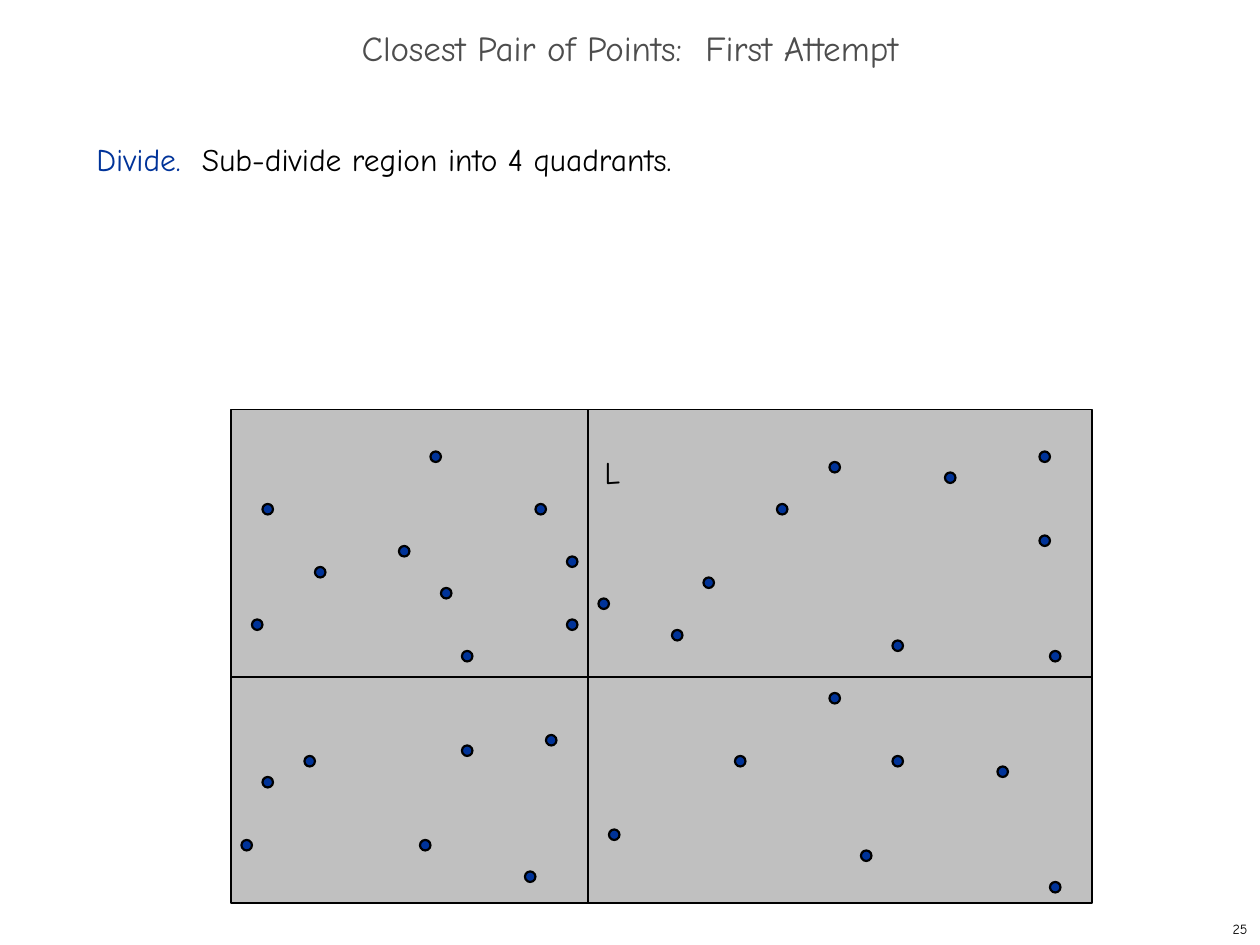
from lxml import etree
from pptx import Presentation, util as u
from pptx.dml.color import RGBColor
from pptx.enum import shapes, text
from pptx.oxml.ns import qn

COLORS = {"black": "000000", "title": "4D4D4D", "blue": "003399", "region": "C0C0C0"}
FONT = "Comic Neue"

# Places are counted in twelfths of an inch.
REGION_LEFT, REGION_TOP, REGION_WIDTH, REGION_HEIGHT = 22, 39, 82, 47
DIVIDER_X, DIVIDER_Y = 56, 64.5
POINTS = [
    (30, 54), (54, 53), (44, 71), (58, 79), (25, 48), (38, 52), (41, 43),
    (42, 56), (74, 48), (51, 48), (67, 55), (64, 60), (100, 84), (79, 44),
    (85, 61), (24, 59), (57, 57), (44, 62), (54, 59), (52, 70), (25, 74),
    (29, 72), (50, 83), (23, 80), (40, 80), (99, 51), (90, 45), (70, 72),
    (99, 43), (79, 66), (82, 81), (100, 62), (85, 72), (95, 73),
]


def grid(*counts):
    """Turn counts of twelfths of an inch into lengths."""
    return [u.Cm(count * 2.54 / 12) for count in counts]


def write_text(shape, *runs, size=18, align=text.PP_ALIGN.LEFT,
               anchor=text.MSO_ANCHOR.TOP, line_spacing=None):
    """Fill a shape with one paragraph of (words, color name) runs."""
    frame = shape.text_frame
    frame.word_wrap = True
    frame.auto_size = text.MSO_AUTO_SIZE.NONE
    frame.vertical_anchor = anchor
    paragraph = frame.paragraphs[0]
    paragraph.alignment = align
    paragraph.space_before = u.Pt(0)
    paragraph.line_spacing = line_spacing
    for words, color in runs:
        run = paragraph.add_run()
        run.text = words
        run.font.name = FONT
        run.font.size = u.Pt(size)
        run.font.color.rgb = RGBColor.from_string(COLORS[color])


presentation = Presentation()
presentation.slide_width, presentation.slide_height = grid(120, 90)
slide = presentation.slides.add_slide(presentation.slide_layouts[5])

title = slide.shapes.title
title.left, title.top, title.width, title.height = grid(0, 2, 120, 6)
write_text(title, ("Closest Pair of Points:  First Attempt", "title"), size=20,
           align=text.PP_ALIGN.CENTER, anchor=text.MSO_ANCHOR.MIDDLE, line_spacing=0.7)

page_number = slide.shapes.add_textbox(*grid(95, 87, 25, 3))
write_text(page_number, ("25", "black"), size=8,
           align=text.PP_ALIGN.RIGHT, anchor=text.MSO_ANCHOR.MIDDLE)

body = slide.shapes.add_textbox(*grid(8, 12, 103, 71))
write_text(body, ("Divide.  ", "blue"), ("Sub-divide region into 4 quadrants.", "black"),
           line_spacing=u.Pt(26))

# The region, then the points in it
region = (shapes.MSO_SHAPE.RECTANGLE, "region", 1,
          (REGION_LEFT, REGION_TOP, REGION_WIDTH, REGION_HEIGHT))
dots = [(shapes.MSO_SHAPE.OVAL, "blue", 1.25, (x, y, 1, 1)) for x, y in POINTS]
for kind, fill, line_width, place in [region, *dots]:
    shape = slide.shapes.add_shape(kind, *grid(*place))
    shape.shadow.inherit = False
    shape.fill.solid()
    shape.fill.fore_color.rgb = RGBColor.from_string(COLORS[fill])
    shape.line.color.rgb = RGBColor.from_string(COLORS["black"])
    shape.line.width = u.Pt(line_width)

# Lines that cut the region into quadrants
right, bottom = REGION_LEFT + REGION_WIDTH, REGION_TOP + REGION_HEIGHT
for ends in [(DIVIDER_X, REGION_TOP, DIVIDER_X, bottom),
             (REGION_LEFT, DIVIDER_Y, right, DIVIDER_Y)]:
    divider = slide.shapes.add_connector(shapes.MSO_CONNECTOR.STRAIGHT, *grid(*ends))
    divider.line.color.rgb = RGBColor.from_string(COLORS["black"])
    divider.line.width = u.Pt(1)
    etree.SubElement(divider._element.spPr, qn("a:effectLst"))

divider_label = slide.shapes.add_textbox(*grid(55, 42.6, 6.6, 4.8))
write_text(divider_label, ("L", "black"), align=text.PP_ALIGN.CENTER)

presentation.save("out.pptx")
